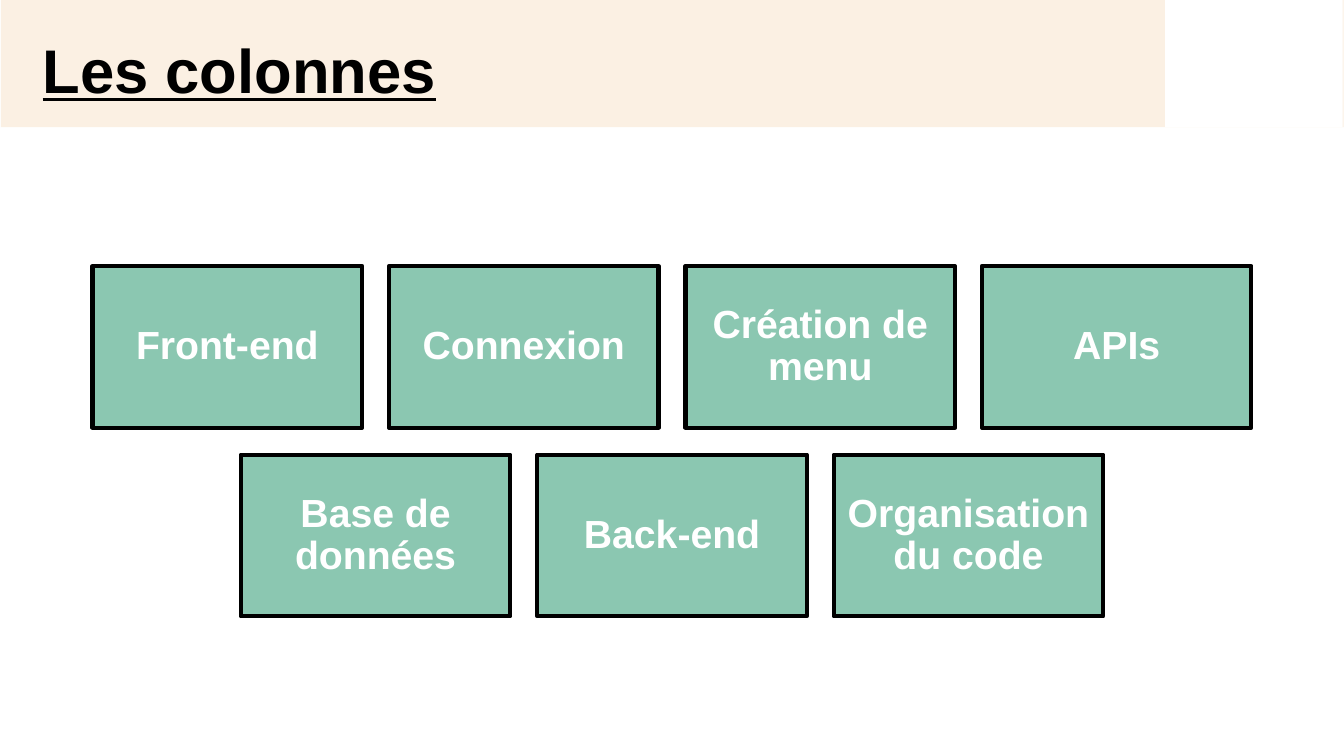
"""Build the slide that lists the columns as two centred rows of boxes."""
import pptx
import pptx.dml.color
import pptx.enum.shapes
import pptx.enum.text
import pptx.util

Pt = pptx.util.Pt
RGBColor = pptx.dml.color.RGBColor
Align = pptx.enum.text.PP_ALIGN

BLACK = RGBColor(0x00, 0x00, 0x00)
WHITE = RGBColor(0xFF, 0xFF, 0xFF)
CREAM = RGBColor(0xFB, 0xF0, 0xE3)
GREEN = RGBColor(0x8B, 0xC7, 0xB1)

SLIDE_WIDTH, SLIDE_HEIGHT = 960, 540
BOX_WIDTH, BOX_HEIGHT, GAP = 192.5, 115.5, 19.25
ROWS_TOP = 190
ROWS = [
    ["Front-end", "Connexion", "Création de menu", "APIs"],
    ["Base de données", "Back-end", "Organisation du code"],
]


class SlideBuilder:
    font_name = "Arial"
    line_spacing = 0.9

    def __init__(self, page):
        self.page = page

    def rectangle(self, left, top, width, height, fill, outline=None):
        box = self.page.shapes.add_shape(
            pptx.enum.shapes.MSO_SHAPE.RECTANGLE,
            Pt(left), Pt(top), Pt(width), Pt(height))
        box.shadow.inherit = False
        box.fill.solid()
        box.fill.fore_color.rgb = fill
        if outline is None:
            box.line.fill.background()
        else:
            box.line.color.rgb = outline
            box.line.width = Pt(3)
        return box

    def set_text(self, box, text, size, color, align, margins, underline=False):
        frame = box.text_frame
        frame_format = {
            "word_wrap": True,
            "vertical_anchor": pptx.enum.text.MSO_ANCHOR.MIDDLE,
            "margin_left": Pt(margins[0]), "margin_right": Pt(margins[0]),
            "margin_top": Pt(margins[1]), "margin_bottom": Pt(margins[1]),
        }
        para = frame.paragraphs[0]
        para_format = {"alignment": align, "line_spacing": self.line_spacing}
        span = para.add_run()
        span.text = text
        font_format = {"name": self.font_name, "size": Pt(size),
                       "bold": True, "underline": underline}
        for target, values in ((frame, frame_format), (para, para_format),
                               (span.font, font_format)):
            for name, value in values.items():
                setattr(target, name, value)
        span.font.color.rgb = color

    def title(self, text, left, top, width, height):
        box = self.page.shapes.add_textbox(
            Pt(left), Pt(top), Pt(width), Pt(height))
        self.set_text(box, text, 44, BLACK, Align.LEFT, (7.2, 3.6), True)

    def label_box(self, text, left, top):
        box = self.rectangle(left, top, BOX_WIDTH, BOX_HEIGHT, GREEN, BLACK)
        self.set_text(box, text, 28, WHITE, Align.CENTER, (8.4, 8.4))

    def centred_row(self, labels, top):
        pitch = BOX_WIDTH + GAP
        left = (SLIDE_WIDTH - len(labels) * pitch + GAP) / 2
        for column, label in enumerate(labels):
            self.label_box(label, left + column * pitch, top)


def main():
    deck = pptx.Presentation()
    deck.slide_width, deck.slide_height = Pt(SLIDE_WIDTH), Pt(SLIDE_HEIGHT)
    builder = SlideBuilder(deck.slides.add_slide(deck.slide_layouts[6]))
    builder.rectangle(0.7, -1.4, 959, 92.2, CREAM)
    builder.rectangle(832.3, 0, 126.7, 90.8, WHITE)
    builder.title("Les colonnes", 23.3, 0, 828, 104.4)
    for row, labels in enumerate(ROWS):
        builder.centred_row(labels, ROWS_TOP + row * (BOX_HEIGHT + GAP))
    deck.save("out.pptx")


if __name__ == "__main__":
    main()
